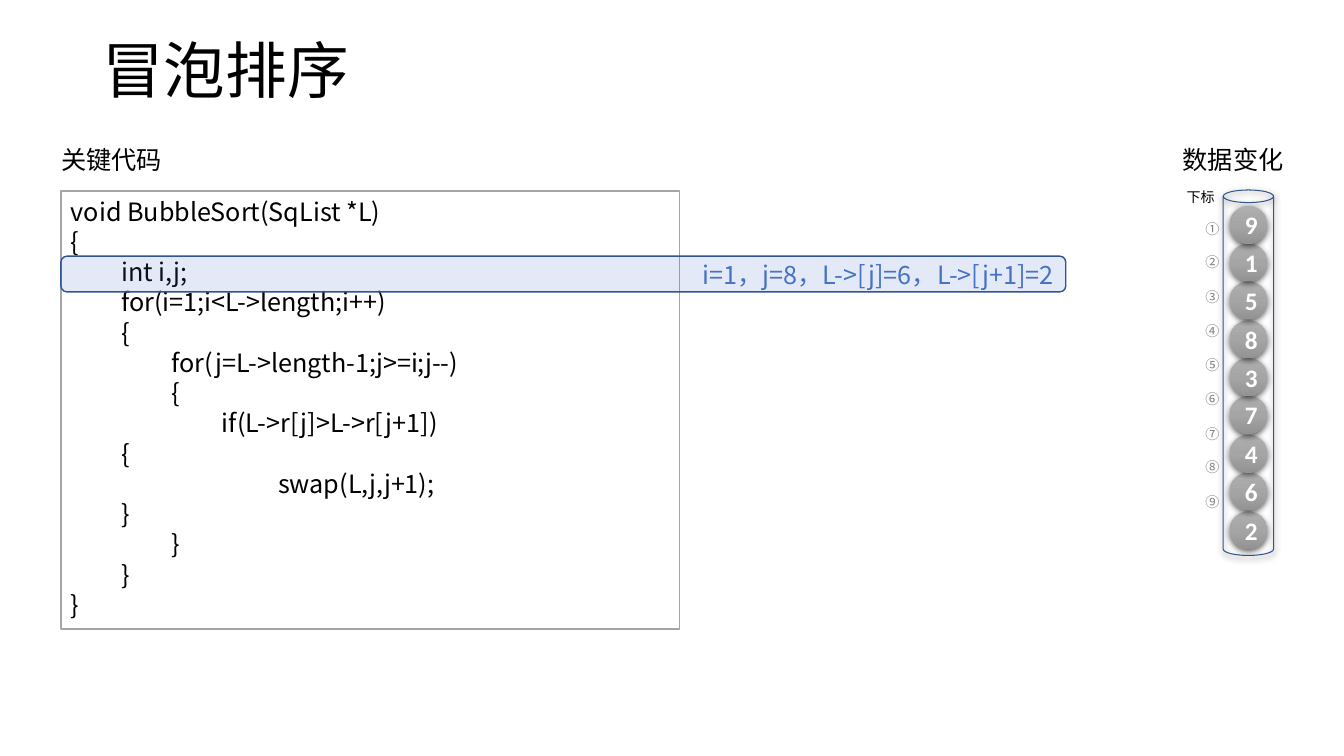
from dataclasses import dataclass
from typing import NamedTuple

from lxml import etree
from pptx import Presentation, util as u
from pptx.dml.color import RGBColor
from pptx.enum import shapes, text as t
from pptx.oxml import parse_xml
from pptx.oxml.ns import nsdecls, qn

EMU_PER_PX = 9525


@dataclass(frozen=True)
class Theme:
    cjk: str = "Noto Sans CJK SC"
    latin: str = "Calibri"
    ink: str = "000000"
    white: str = "FFFFFF"
    muted: str = "808080"
    frame: str = "A5A5A5"
    accent: str = "4472C4"
    outline: str = "325491"
    ball_stops: tuple = ((0, "AFAFAF"), (50, "A5A5A5"), (100, "939393"))
    title_size: int = 44
    body_size: int = 18
    small_size: int = 10


class Box(NamedTuple):
    left: int
    top: int
    width: int
    height: int

    def emu(self) -> list:
        return [px(length) for length in self]


class Label(NamedTuple):
    text: str
    box: Box
    style: dict


def px(length: int) -> u.Emu:
    return u.Emu(length * EMU_PER_PX)


THEME = Theme()
PRESET = shapes.MSO_SHAPE

CODE = """void BubbleSort(SqList *L)
{
\tint i,j;
\tfor(i=1;i<L->length;i++)
\t{
\t\tfor(j=L->length-1;j>=i;j--)
\t\t{
\t\t\tif(L->r[j]>L->r[j+1])
\t{
\t\t\t\t swap(L,j,j+1);
\t}
\t\t}
\t}
}"""
VALUES = [9, 1, 5, 8, 3, 7, 4, 6, 2]
COLUMN_TOP, COLUMN_SPAN, BALL_SIZE = 196, 291, 36

LABELS = [
    Label("冒泡排序", Box(88, 1, 1104, 139),
          dict(size=THEME.title_size, anchor=t.MSO_ANCHOR.MIDDLE, line_spacing=0.9)),
    Label("关键代码", Box(49, 133, 120, 38), dict(wrap=False)),
    Label("数据变化", Box(1117, 133, 116, 38), dict(wrap=False)),
    Label("下标", Box(1115, 175, 57, 26),
          dict(size=THEME.small_size, align=t.PP_ALIGN.CENTER)),
]


def write(shape, content: str, *, size: int = THEME.body_size, color: str = THEME.ink,
          font: str = THEME.cjk, bold: bool = False, align=t.PP_ALIGN.LEFT,
          anchor=t.MSO_ANCHOR.TOP, wrap: bool = True, line_spacing: float = 1.0,
          tab_stops: tuple = ()) -> None:
    """Fill a shape with one paragraph per line of content."""
    frame = shape.text_frame
    frame.word_wrap = wrap
    frame.vertical_anchor = anchor
    for index, line in enumerate(content.split("\n")):
        paragraph = frame.add_paragraph() if index else frame.paragraphs[0]
        paragraph.alignment = align
        paragraph.line_spacing = line_spacing
        if tab_stops:
            tabs = etree.SubElement(paragraph._p.get_or_add_pPr(), qn("a:tabLst"))
            for stop in tab_stops:
                etree.SubElement(tabs, qn("a:tab"), pos=str(px(stop)), algn="l")
        run = paragraph.add_run()
        run.text = line
        run.font.size = u.Pt(size)
        run.font.bold = bold
        run.font.color.rgb = RGBColor.from_string(color)
        run.font.name = font
        etree.SubElement(run._r.get_or_add_rPr(), qn("a:ea"), typeface=font)


def add_preset(slide, preset, box: Box, *, fill: str = "", alpha: int = 100,
               line: str = "", line_width: float = 1):
    shape = slide.shapes.add_shape(preset, *box.emu())
    shape.shadow.inherit = False
    if fill:
        shape.fill.solid()
        shape.fill.fore_color.rgb = RGBColor.from_string(fill)
        if alpha < 100:
            color = shape.fill._xPr.find(".//" + qn("a:srgbClr"))
            etree.SubElement(color, qn("a:alpha"), val=str(alpha * 1000))
    else:
        shape.fill.background()
    if line:
        shape.line.color.rgb = RGBColor.from_string(line)
        shape.line.width = u.Pt(line_width)
    else:
        shape.line.fill.background()
    return shape


def add_label(slide, label: Label):
    shape = slide.shapes.add_textbox(*label.box.emu())
    write(shape, label.text, **label.style)
    return shape


def cast_shadow(shape) -> None:
    effects = shape._element.spPr.find(qn("a:effectLst"))
    effects.append(parse_xml(
        f'<a:outerShdw {nsdecls("a")} blurRad="{u.Pt(4.5)}" dist="{u.Pt(1.5)}" '
        'dir="5400000" algn="ctr" rotWithShape="0"><a:srgbClr val="000000">'
        '<a:alpha val="63000"/></a:srgbClr></a:outerShdw>'))


def shade_ball(shape) -> None:
    """Replace the empty fill with the three-stop vertical gradient."""
    stops = "".join(f'<a:gs pos="{position * 1000}"><a:srgbClr val="{color}"/></a:gs>'
                    for position, color in THEME.ball_stops)
    properties = shape._element.spPr
    properties.replace(properties.find(qn("a:noFill")), parse_xml(
        f'<a:gradFill {nsdecls("a")} rotWithShape="1"><a:gsLst>{stops}</a:gsLst>'
        '<a:lin ang="5400000" scaled="0"/></a:gradFill>'))


def add_ball(slide, index: int, value: int) -> None:
    top = COLUMN_TOP + COLUMN_SPAN * index // (len(VALUES) - 1)
    ball = add_preset(slide, PRESET.OVAL, Box(1171, top, BALL_SIZE, BALL_SIZE))
    shade_ball(ball)
    cast_shadow(ball)
    write(ball, str(value), font=THEME.latin, color=THEME.white, bold=True,
          align=t.PP_ALIGN.CENTER, anchor=t.MSO_ANCHOR.MIDDLE)


def add_code(slide) -> None:
    listing = add_preset(slide, PRESET.RECTANGLE, Box(58, 182, 589, 417),
                         fill=THEME.white, line=THEME.frame)
    write(listing, CODE)
    current_line = add_preset(slide, PRESET.ROUNDED_RECTANGLE, Box(58, 244, 957, 34),
                              fill=THEME.accent, alpha=15, line=THEME.outline)
    write(current_line, "i=1，j=8，L->[j]=6，L->[j+1]=2", color=THEME.accent,
          align=t.PP_ALIGN.RIGHT, anchor=t.MSO_ANCHOR.MIDDLE)


def add_data_column(slide) -> None:
    tube = add_preset(slide, PRESET.CAN, Box(1165, 181, 48, 348),
                      line=THEME.outline, line_width=0.75)
    cast_shadow(tube)
    for index, value in reversed(list(enumerate(VALUES))):
        add_ball(slide, index, value)
    stops = tuple(65 * index // 2 for index in range(1, len(VALUES)))
    indices = add_label(slide, Label(
        "\t".join("①②③④⑤⑥⑦⑧⑨"), Box(1131, 202, 36, 324),
        dict(size=THEME.small_size, color=THEME.muted, tab_stops=stops)))
    indices.text_frame._txBody.bodyPr.set("vert", "eaVert")


def main() -> None:
    presentation = Presentation()
    presentation.slide_width, presentation.slide_height = px(1280), px(720)
    slide = presentation.slides.add_slide(presentation.slide_layouts[6])
    add_code(slide)
    add_data_column(slide)
    for label in LABELS:
        add_label(slide, label)
    presentation.save("out.pptx")


if __name__ == "__main__":
    main()
